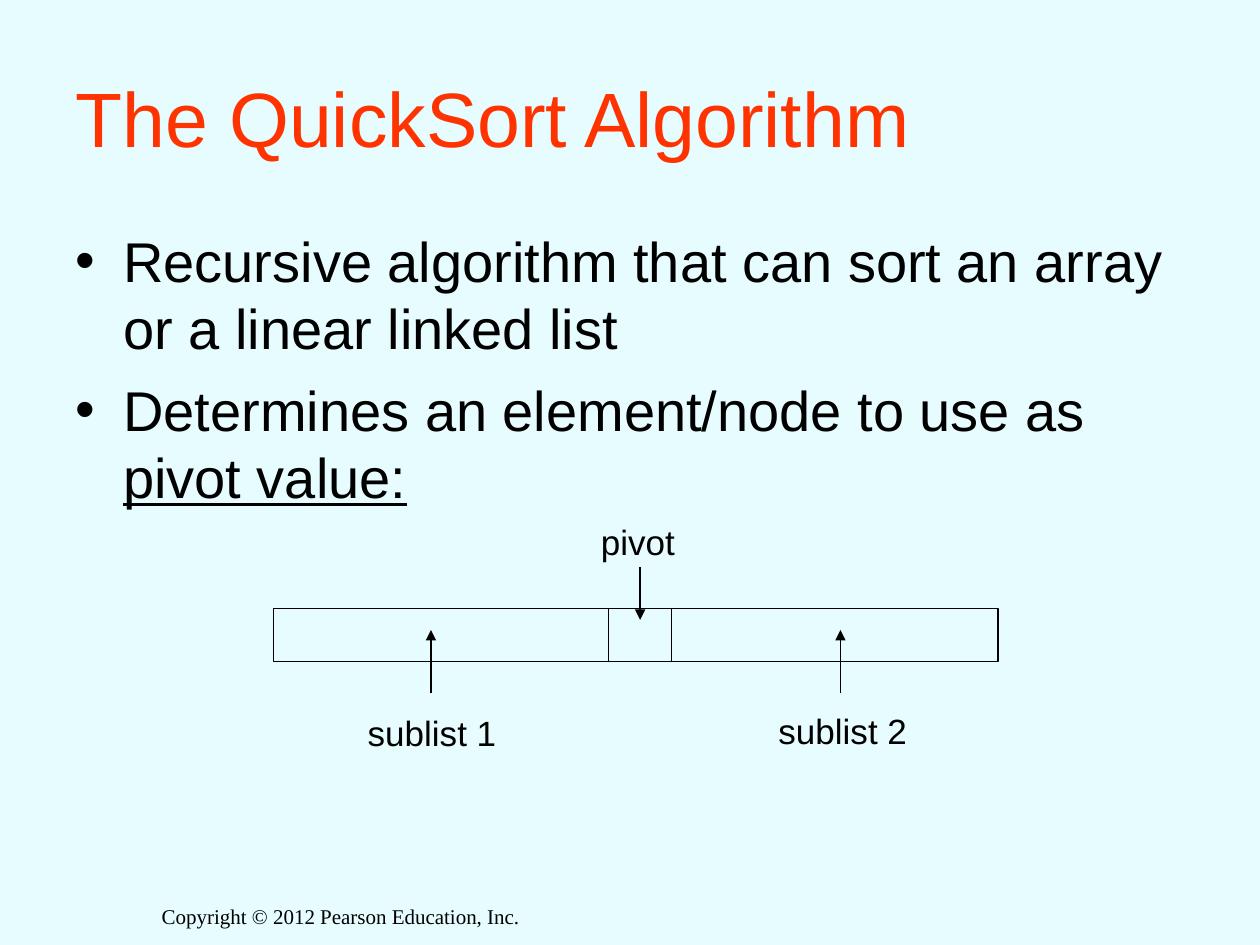
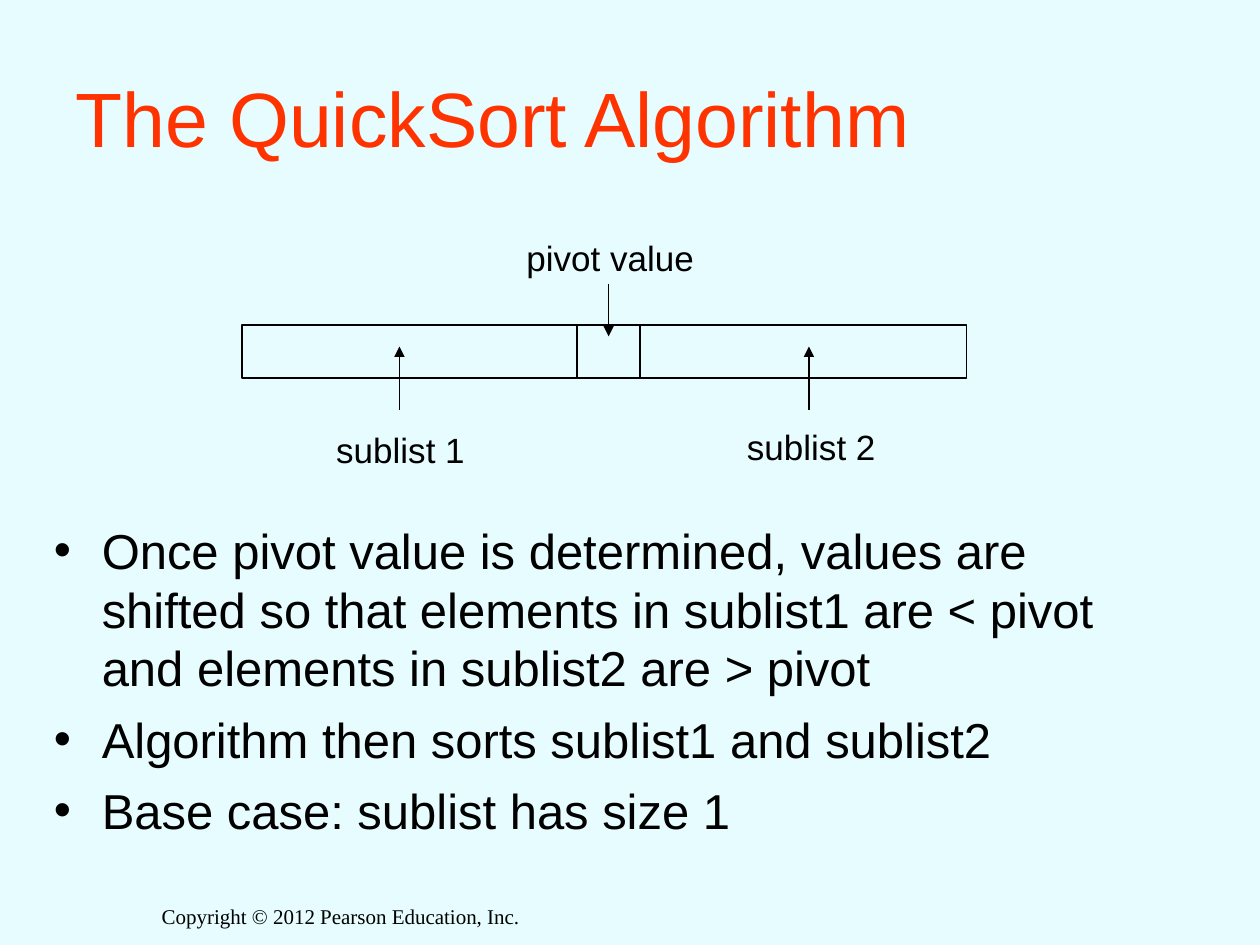
from dataclasses import dataclass
from typing import Any

import lxml.etree
import pptx
import pptx.dml.color
import pptx.enum.shapes
import pptx.enum.text
import pptx.oxml.ns
import pptx.util

Inches = pptx.util.Inches
Anchor = pptx.enum.text.MSO_ANCHOR
AutoSize = pptx.enum.text.MSO_AUTO_SIZE
Alignment = pptx.enum.text.PP_ALIGN

# Shared look
BACKGROUND = "E6FCFE"
INK = "000000"
TITLE_COLOR = "FF3300"
LINE_WIDTH = pptx.util.Pt(0.75)
BULLET_INDENT = Inches(0.38)


@dataclass(frozen=True)
class TextStyle:
    size: float
    color: str = INK
    font: str = "Arial"


@dataclass(frozen=True)
class Box:
    left: float
    top: float
    width: float
    height: float

    def lengths(self) -> tuple:
        return tuple(map(Inches, (self.left, self.top, self.width, self.height)))


@dataclass(frozen=True)
class Run:
    text: str
    underline: bool = False


@dataclass(frozen=True)
class Bullets:
    box: Box
    size: float
    space_before: float
    items: tuple[tuple[Run, ...], ...]


@dataclass(frozen=True)
class Label:
    text: str
    box: Box  # relative to the top left corner of the list bar


@dataclass(frozen=True)
class Arrow:
    x: float
    start: float
    end: float


@dataclass(frozen=True)
class QuickSortSlide:
    bar_left: float
    bar_top: float
    pivot_label: Label
    bullets: Bullets


TITLE = TextStyle(44, TITLE_COLOR)
LABEL = TextStyle(20)
FOOTER = TextStyle(12, font="Times New Roman")

# Parts of the partition diagram, relative to the list bar
CELLS = (Box(0, 0, 5.75, 0.42), Box(2.66, 0, 0.5, 0.42))
SUBLIST_LABELS = (
    Label("sublist 1", Box(0.65, 0.77, 1.22, 0.44)),
    Label("sublist 2", Box(3.91, 0.75, 1.22, 0.44)),
)
ARROWS = (Arrow(2.91, -0.33, 0.09), Arrow(4.5, 0.67, 0.17), Arrow(1.25, 0.67, 0.17))

SLIDES = (
    QuickSortSlide(
        2.17, 4.83,
        Label("pivot", Box(2.5, -0.75, 0.79, 0.44)),
        Bullets(Box(0.5, 1.75, 9, 4.95), 32, 8, (
            (Run("Recursive algorithm that can sort an array or a linear linked list"),),
            (Run("Determines an element/node to use as "), Run("pivot value:", True)),
        )),
    ),
    QuickSortSlide(
        1.92, 2.58,
        Label("pivot value", Box(2.16, -0.75, 1.53, 0.44)),
        Bullets(Box(0.33, 4.08, 8.5, 2.75), 28, 7, (
            (Run("Once pivot value is determined, values are shifted so that elements "
                 "in sublist1 are < pivot and elements in sublist2 are > pivot"),),
            (Run("Algorithm then sorts sublist1 and sublist2"),),
            (Run("Base case: sublist has size 1"),),
        )),
    ),
)


def rgb(color: str) -> pptx.dml.color.RGBColor:
    return pptx.dml.color.RGBColor.from_string(color)


def set_attributes(target: Any, values: dict[str, Any]) -> None:
    for name, value in values.items():
        setattr(target, name, value)


def add_element(parent: Any, tag: str, **attributes: str) -> Any:
    return lxml.etree.SubElement(parent, pptx.oxml.ns.qn(tag), attributes)


def add_run(paragraph: Any, content: Run, style: TextStyle) -> None:
    run = paragraph.add_run()
    run.text = content.text
    set_attributes(run.font, {"size": pptx.util.Pt(style.size), "name": style.font})
    run.font.color.rgb = rgb(style.color)
    if content.underline:
        run.font.underline = True


def add_text(shapes: Any, box: Box, text: str, style: TextStyle,
             alignment: Any = Alignment.LEFT, **frame_format: Any) -> None:
    frame = shapes.add_textbox(*box.lengths()).text_frame
    set_attributes(frame, {"word_wrap": True, **frame_format})
    paragraph = frame.paragraphs[0]
    paragraph.alignment = alignment
    add_run(paragraph, Run(text), style)


def add_bullets(shapes: Any, bullets: Bullets) -> None:
    frame = shapes.add_textbox(*bullets.box.lengths()).text_frame
    frame.word_wrap = True
    for index, item in enumerate(bullets.items):
        paragraph = frame.add_paragraph() if index else frame.paragraphs[0]
        properties = paragraph._p.get_or_add_pPr()
        properties.set("marL", str(BULLET_INDENT))
        properties.set("indent", str(-BULLET_INDENT))
        add_element(add_element(properties, "a:buClr"), "a:srgbClr", val=INK)
        add_element(properties, "a:buFont", typeface="Arial")
        add_element(properties, "a:buChar", char="•")
        if index:
            paragraph.space_before = pptx.util.Pt(bullets.space_before)
        for content in item:
            add_run(paragraph, content, TextStyle(bullets.size))


def set_line(line: Any) -> None:
    line.color.rgb = rgb(INK)
    line.width = LINE_WIDTH


def add_arrow(shapes: Any, x: float, start: float, end: float) -> None:
    connector = shapes.add_connector(
        pptx.enum.shapes.MSO_CONNECTOR.STRAIGHT,
        Inches(x), Inches(start), Inches(x), Inches(end))
    set_line(connector.line)
    add_element(connector.line._get_or_add_ln(), "a:tailEnd", type="triangle")
    add_element(connector._element.spPr, "a:effectLst")


def add_partition_diagram(slide: Any, content: QuickSortSlide) -> None:
    shapes = slide.shapes.add_group_shape().shapes

    def placed(box: Box) -> Box:
        return Box(content.bar_left + box.left, content.bar_top + box.top,
                   box.width, box.height)

    # List bar and its pivot cell
    for cell in CELLS:
        rectangle = shapes.add_shape(
            pptx.enum.shapes.MSO_SHAPE.RECTANGLE, *placed(cell).lengths())
        rectangle.shadow.inherit = False
        rectangle.fill.background()
        set_line(rectangle.line)

    # Labels and their arrows
    for label in (content.pivot_label, *SUBLIST_LABELS):
        add_text(shapes, placed(label.box), label.text, LABEL,
                 word_wrap=False, auto_size=AutoSize.SHAPE_TO_FIT_TEXT)
    for arrow in ARROWS:
        add_arrow(shapes, content.bar_left + arrow.x,
                  content.bar_top + arrow.start, content.bar_top + arrow.end)


def add_base_slide(presentation: Any) -> Any:
    """Add a slide with the shared background, footer and title."""
    slide = presentation.slides.add_slide(presentation.slide_layouts[6])
    slide.background.fill.solid()
    slide.background.fill.fore_color.rgb = rgb(BACKGROUND)
    add_text(slide.shapes, Box(1.08, 7.12, 3.25, 0.61),
             "Copyright © 2012 Pearson Education, Inc.", FOOTER, Alignment.CENTER)
    add_text(slide.shapes, Box(0.5, 0.3, 9, 1.25), "The QuickSort Algorithm", TITLE,
             vertical_anchor=Anchor.MIDDLE)
    return slide


def main() -> None:
    presentation = pptx.Presentation()
    presentation.slide_width = Inches(10)
    presentation.slide_height = Inches(7.5)
    for content in SLIDES:
        slide = add_base_slide(presentation)
        add_bullets(slide.shapes, content.bullets)
        add_partition_diagram(slide, content)
    presentation.save("out.pptx")


if __name__ == "__main__":
    main()
